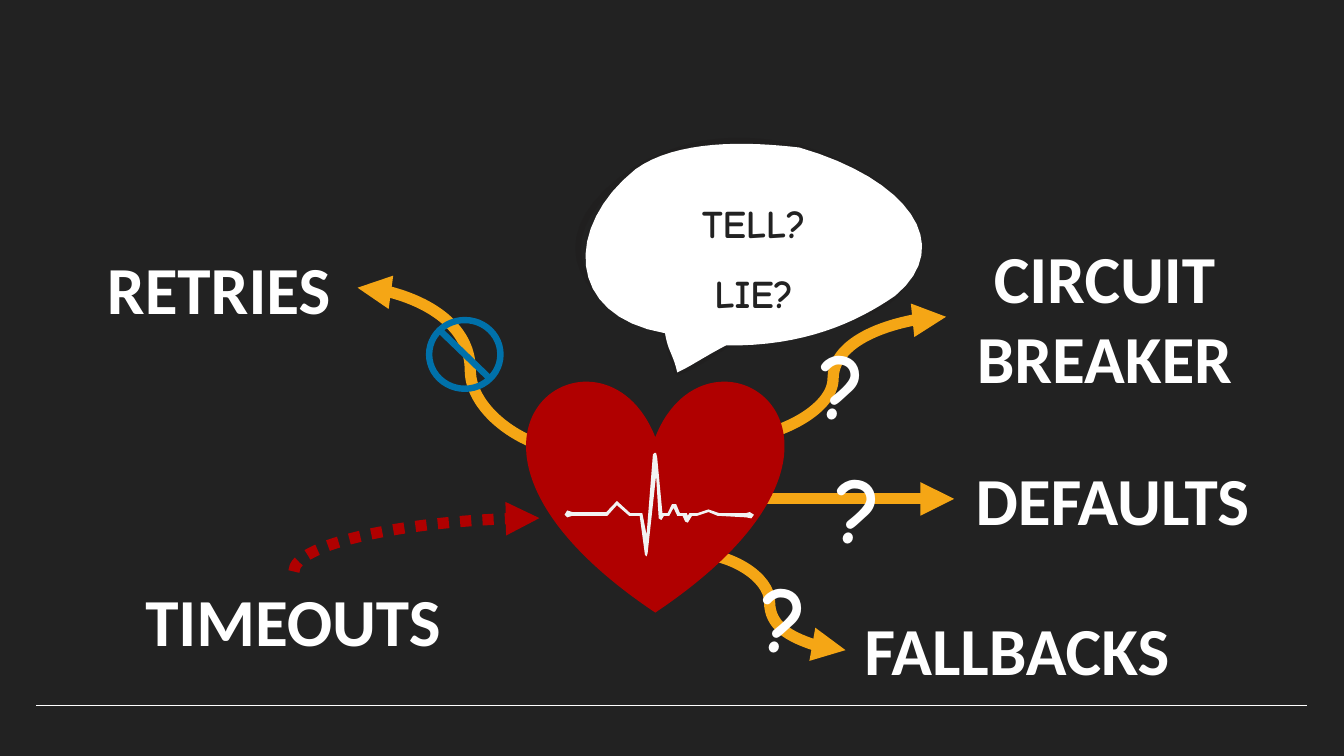
from lxml import etree
from pptx import Presentation
from pptx.dml.color import RGBColor
from pptx.enum import dml, shapes, text
from pptx.oxml.ns import qn
from pptx.util import Cm, Pt

COLORS = {
    "background": "222222",
    "white": "FFFFFF",
    "arrow": "F5A615",
    "heart": "B00000",
    "pulse": "F2F2F2",
    "bubble_line": "201F1F",
    "forbidden": "0071AA",
}

PULSE = [
    (10.67, 9.73), (10.72, 9.65), (10.82, 9.68), (11.46, 9.68), (11.66, 9.47),
    (11.91, 9.7), (12.14, 9.7), (12.22, 10.11), (12.34, 8.59), (12.37, 8.56),
    (12.4, 8.56), (12.42, 8.64), (12.52, 9.7), (12.62, 9.7), (12.7, 9.53),
    (12.78, 9.53), (12.85, 9.7), (12.98, 9.7), (13, 9.75), (13.03, 9.7),
    (13.18, 9.7), (13.39, 9.63), (13.59, 9.7), (14.1, 9.7), (14.17, 9.68),
    (14.25, 9.73), (14.2, 9.8), (14.1, 9.78), (13.56, 9.75), (13.39, 9.68),
    (13.18, 9.75), (13.08, 9.75), (13, 9.88), (12.95, 9.86), (12.9, 9.75),
    (12.8, 9.75), (12.73, 9.6), (12.65, 9.75), (12.55, 9.75), (12.5, 9.83),
    (12.45, 9.8), (12.4, 8.99), (12.24, 10.46), (12.22, 10.52), (12.19, 10.49),
    (12.09, 9.75), (11.89, 9.75), (11.66, 9.55), (11.48, 9.75), (10.82, 9.75),
    (10.72, 9.78),
]

# Corners of the speech bubble, and the two control points before each next corner.
BUBBLE_CORNERS = [(12.8, 7.04), (12.57, 6.3), (12.01, 3.2), (15.11, 2.79),
                  (16.92, 5.59), (13.72, 6.53), (12.8, 7.04)]
BUBBLE_OUTLINE = [
    ((12.75, 6.83), (12.67, 6.68)), ((10.72, 5.61), (10.29, 4.34)),
    ((12.9, 2.69), (13.79, 2.51)), ((17.07, 3.43), (17.88, 4.42)),
    ((16.43, 6.02), (15.06, 6.4)), ((13.41, 6.73), (13.06, 6.96)),
]
BUBBLE_BODY = [
    ((12.73, 6.71), (12.62, 6.63)), ((10.67, 5.97), (10.67, 4.27)),
    ((12.78, 2.64), (14.12, 2.67)), ((17.15, 3.38), (18.08, 4.62)),
    ((16.18, 6.1), (15.19, 6.55)), ((13.28, 6.76), (13.08, 6.91)),
]


def color(name):
    return RGBColor.from_string(COLORS[name])


def style(shape, fill=None, line=None, width=0):
    shape.shadow.inherit = False
    if fill:
        shape.fill.solid()
        shape.fill.fore_color.rgb = color(fill)
    else:
        shape.fill.background()
    if line:
        shape.line.color.rgb = color(line)
        shape.line.width = Pt(width)
    else:
        shape.line.fill.background()


def write(frame, lines, font_name, size, font_color, align, spacing=None):
    for index, line in enumerate(lines):
        paragraph = frame.add_paragraph() if index else frame.paragraphs[0]
        paragraph.text = line
        paragraph.alignment = align
        paragraph.line_spacing = spacing
        paragraph.font.name = font_name
        paragraph.font.size = Pt(size)
        paragraph.font.bold = True
        paragraph.font.color.rgb = color(font_color)


def add_text(slide, lines, box, font_name, size, align):
    shape = slide.shapes.add_textbox(*map(Cm, box))
    shape.text_frame.word_wrap = True
    shape.text_frame.auto_size = text.MSO_AUTO_SIZE.SHAPE_TO_FIT_TEXT
    write(shape.text_frame, lines, font_name, size, "white", align)
    return shape


def add_line(slide, kind, start, end, line_color, width):
    connector = slide.shapes.add_connector(kind, *map(Cm, start + end))
    connector.line.color.rgb = color(line_color)
    connector.line.width = Pt(width)
    etree.SubElement(connector._element.spPr, qn("a:effectLst"))
    return connector


def add_arrow(slide, start, end, line_color="arrow", kind=shapes.MSO_CONNECTOR.CURVE, dash=None):
    connector = add_line(slide, kind, start, end, line_color, 6)
    if dash:
        connector.line.dash_style = dash
    line = connector._element.spPr.find(qn("a:ln"))
    etree.SubElement(line, qn("a:tailEnd"), type="triangle")
    return connector


def make_quarter_curve(connector):
    """Turn a curved connector into one bend that leaves upwards."""
    properties = connector._element.spPr
    properties.find(qn("a:prstGeom")).set("prst", "curvedConnector2")
    properties.find(qn("a:xfrm")).set("rot", str(90 * 60000))


def add_outline(container, points):
    points = [(Cm(x), Cm(y)) for x, y in points]
    builder = container.shapes.build_freeform(*points[0])
    builder.add_line_segments(points[1:], close=True)
    return builder.convert_to_shape()


def curve_points(corners, controls, steps=16):
    """Sample the cubic curves that join the corners."""
    points = [corners[0]]
    for start, (first, second), end in zip(corners, controls, corners[1:]):
        for step in range(1, steps + 1):
            t = step / steps
            weights = ((1 - t) ** 3, 3 * t * (1 - t) ** 2, 3 * t ** 2 * (1 - t), t ** 3)
            corner_set = (start, first, second, end)
            points.append(tuple(sum(w * p[axis] for w, p in zip(weights, corner_set))
                                for axis in (0, 1)))
    return points


def add_heart(slide):
    group = slide.shapes.add_group_shape()
    heart = group.shapes.add_shape(shapes.MSO_SHAPE.HEART, Cm(9.96), Cm(7.16), Cm(4.85), Cm(4.42))
    style(heart, "heart")
    style(add_outline(group, PULSE), "pulse")


def add_bubble(slide):
    group = slide.shapes.add_group_shape()
    outline = add_outline(group, curve_points(BUBBLE_CORNERS, BUBBLE_OUTLINE))
    style(outline, line="bubble_line", width=3)
    body = add_outline(group, curve_points(BUBBLE_CORNERS, BUBBLE_BODY))
    style(body, "white")
    frame = body.text_frame
    frame.word_wrap = True
    frame.vertical_anchor = text.MSO_ANCHOR.MIDDLE
    frame.margin_bottom = Cm(0.59)  # keeps the text above the tail
    write(frame, ["TELL?", "LIE?"], "Comic Neue", 21, "background", text.PP_ALIGN.CENTER, 1.5)


def add_forbidden_sign(slide):
    sign = slide.shapes.add_shape(shapes.MSO_SHAPE.NO_SYMBOL, Cm(8.05), Cm(5.99), Cm(1.47), Cm(1.42))
    sign.adjustments[0] = 0.086
    style(sign, "forbidden")


def main():
    presentation = Presentation()
    presentation.slide_width, presentation.slide_height = Cm(25.4), Cm(14.29)
    slide = presentation.slides.add_slide(presentation.slide_layouts[6])
    slide.background.fill.solid()
    slide.background.fill.fore_color.rgb = color("background")
    straight = shapes.MSO_CONNECTOR.STRAIGHT
    add_line(slide, straight, (0.69, 13.34), (24.71, 13.34), "white", 0.5)

    labels = {}
    for lines, box in [
        (["DEFAULTS"], (18.03, 8.53, 5.99, 1.8)),
        (["RETRIES"], (1.52, 4.55, 5.23, 1.8)),
        (["FALLBACKS"], (15.98, 11.38, 6.48, 1.8)),
        (["CIRCUIT", "BREAKER"], (17.88, 4.34, 5.99, 3.33)),
        (["TIMEOUTS"], (2.44, 10.82, 6.2, 1.8)),
    ]:
        labels[lines[0]] = add_text(slide, lines, box, "Calibri", 36, text.PP_ALIGN.CENTER)

    timeouts = add_arrow(slide, (8.38, 12.62), (7.37, 7.98), "heart", dash=dml.MSO_LINE.ROUND_DOT)
    make_quarter_curve(timeouts)
    add_arrow(slide, (11.02, 8.56), (6.76, 5.44))
    add_arrow(slide, (13.61, 8.33), (17.88, 5.99))
    defaults = add_arrow(slide, (14.02, 9.43), (18.03, 9.43), kind=straight)
    defaults.end_connect(labels["DEFAULTS"], 1)
    add_arrow(slide, (13.11, 10.46), (15.98, 12.29))

    add_heart(slide)
    add_bubble(slide)
    add_forbidden_sign(slide)
    for left, top in [(15.24, 6.05), (15.54, 8.41), (14.15, 10.46)]:
        add_text(slide, ["?"], (left, top, 1.37, 2.36), "Comic Neue", 49.5, text.PP_ALIGN.LEFT)
    presentation.save("out.pptx")


if __name__ == "__main__":
    main()
